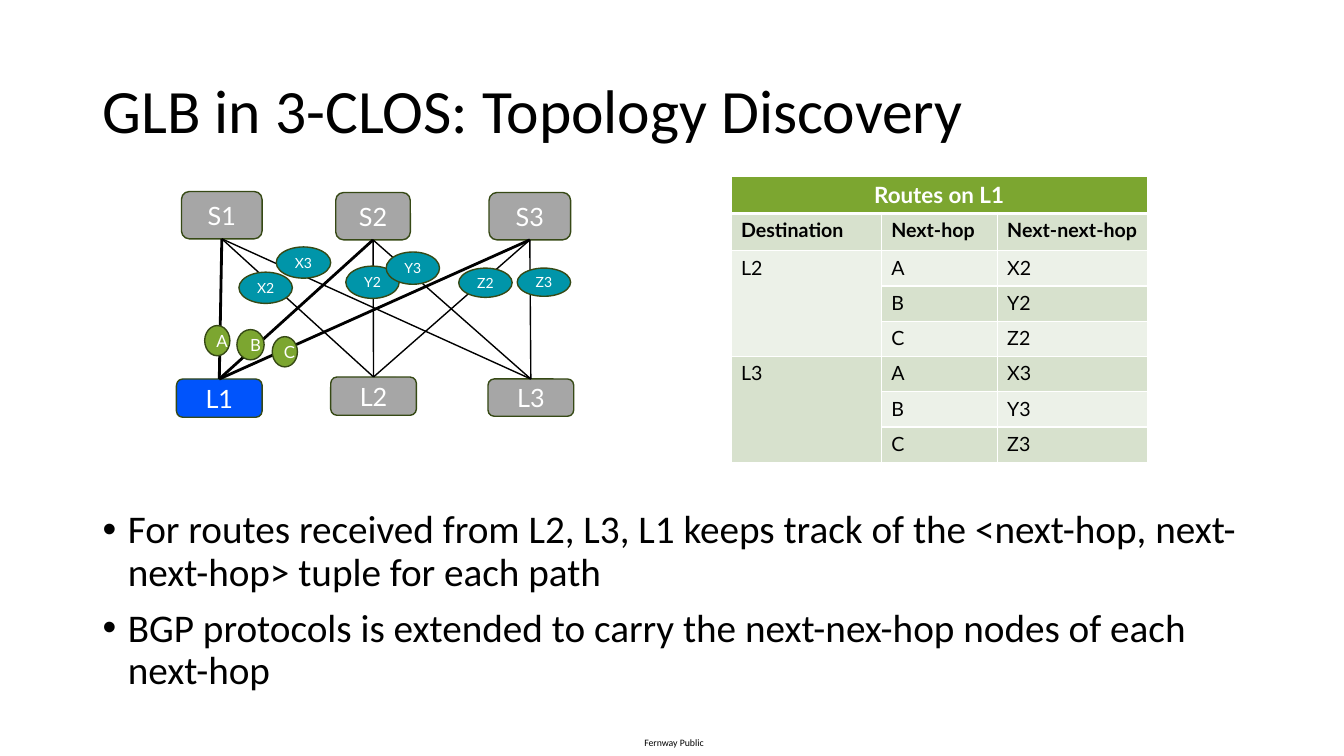
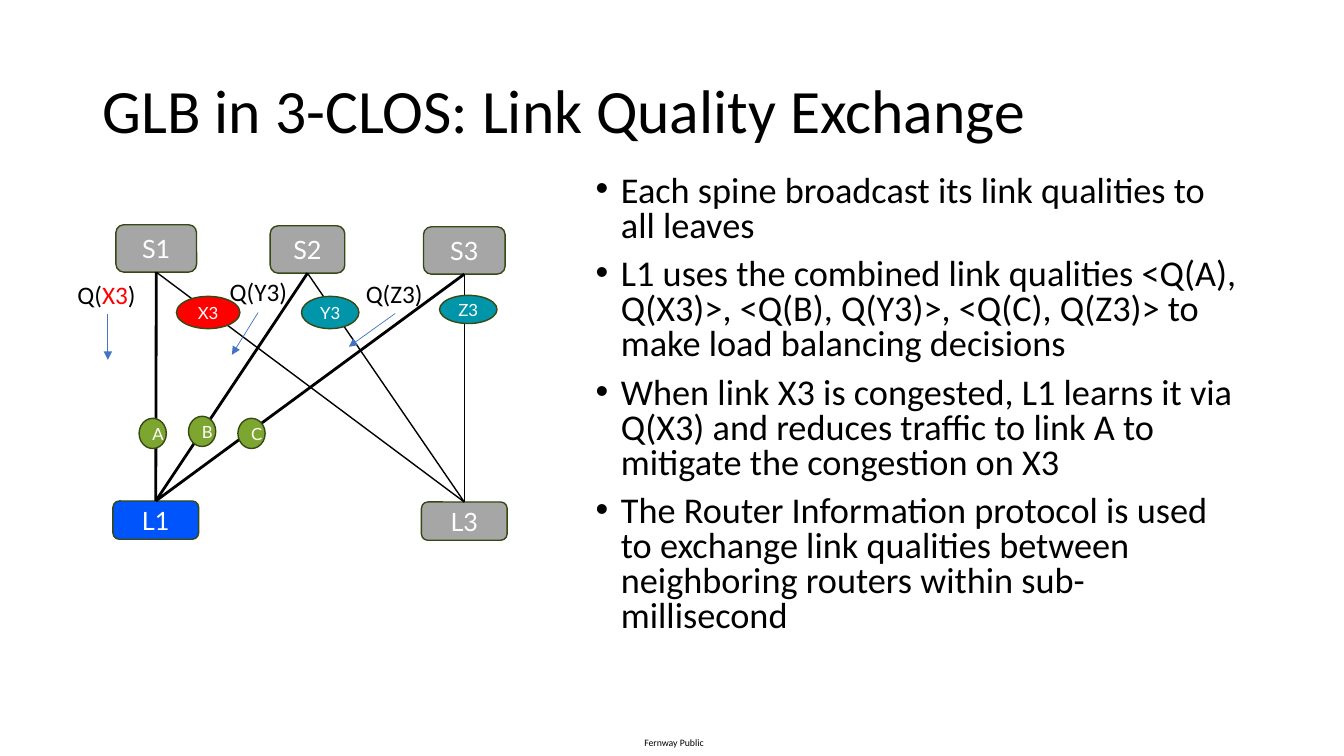
import itertools

import pptx
import pptx.dml.color
import pptx.enum.shapes
import pptx.enum.text
import pptx.oxml
import pptx.oxml.ns
import pptx.util

PX = 9144  # 100 px to the inch
RGB = pptx.dml.color.RGBColor
SHAPES = pptx.enum.shapes.MSO_SHAPE
STRAIGHT = pptx.enum.shapes.MSO_CONNECTOR.STRAIGHT
MIDDLE = pptx.enum.text.MSO_ANCHOR.MIDDLE
CENTER = pptx.enum.text.PP_ALIGN.CENTER
TOP, BOTTOM = 0, 2

BLACK = RGB(0x00, 0x00, 0x00)
WHITE = RGB(0xFF, 0xFF, 0xFF)
RED = RGB(0xFF, 0x00, 0x00)
GRAY = RGB(0xA6, 0xA6, 0xA6)
BLUE = RGB(0x00, 0x54, 0xFC)
GREEN = RGB(0x7C, 0xA6, 0x30)
TEAL = RGB(0x00, 0x95, 0xA9)
OUTLINE = RGB(0x36, 0x49, 0x15)
ARROW = RGB(0x44, 0x72, 0xC4)
BAND_DARK = RGB(0xD7, 0xE1, 0xCD)
BAND_LIGHT = RGB(0xEC, 0xF1, 0xE8)

TEXT_FONT, DIAGRAM_FONT = "Calibri", "Lato"
FOOTER = "Fernway Public"

DISCOVERY = {
    "title": "GLB in 3-CLOS: Topology Discovery",
    "body": {
        "box": (92, 501, 1150, 185), "size": 28, "spacing": 0.9,
        "bullets": [
            "For routes received from L2, L3, L1 keeps track of the "
            "<next-hop, next-next-hop> tuple for each path",
            "BGP protocols is extended to carry the next-nex-hop nodes of each next-hop",
        ],
    },
    "spines": {"S1": (180, 190, 80, 47), "S2": (333, 191, 74, 47), "S3": (485, 191, 81, 47)},
    "leaves": {"L1": (175, 376, 85, 38), "L2": (328, 374, 85, 38), "L3": (484, 376, 85, 37)},
    "link_size": 10,
    "uplinks": {"A": (203, 323, 25, 30), "B": (235, 327, 27, 30), "C": (270, 334, 25, 30)},
    "downlinks": {
        "X2": (237, 270, 53, 31), "Y2": (343, 264, 53, 32), "Z2": (455, 266, 53, 29),
        "X3": (274, 245, 54, 31), "Y3": (383, 250, 53, 32), "Z3": (513, 266, 53, 28),
    },
}

ROUTES = {
    "caption": "Routes on L1",
    "columns": ["Destination", "Next-hop", "Next-next-hop"],
    "paths": {
        "L2": [("A", "X2"), ("B", "Y2"), ("C", "Z2")],
        "L3": [("A", "X3"), ("B", "Y3"), ("C", "Z3")],
    },
    "at": (725, 175),
    "widths": [149, 115, 149],
    "heights": [35, 37] + [35] * 6,
}

EXCHANGE = {
    "title": "GLB in 3-CLOS: Link Quality Exchange",
    "body": {
        "box": (581, 169, 661, 502), "size": 25.9, "spacing": 0.8,
        "bullets": [
            "Each spine broadcast its link qualities to all leaves",
            "L1 uses the combined link qualities <Q(A), Q(X3)>, <Q(B), Q(Y3)>, "
            "<Q(C), Q(Z3)> to make load balancing decisions",
            "When link X3 is congested, L1 learns it via Q(X3) and reduces traffic "
            "to link A to mitigate the congestion on X3",
            "The Router Information protocol is used to exchange link qualities "
            "between neighboring routers within sub-millisecond",
        ],
    },
    "spines": {"S1": (115, 223, 80, 47), "S2": (268, 224, 74, 47), "S3": (420, 225, 81, 47)},
    "leaves": {"L1": (112, 497, 85, 38), "L3": (418, 498, 85, 38)},
    "link_size": 12,
    "uplinks": {"A": (138, 415, 27, 30), "B": (187, 413, 27, 30), "C": (236, 415, 27, 30)},
    "downlinks": {"Y3": (299, 294, 57, 32), "Z3": (436, 293, 57, 28), "X3": (175, 294, 63, 32)},
    "congested": "X3",
}

# link, label box, arrow from, arrow to
QUALITIES = [
    ("X3", (67, 272, 79, 40), (107, 312), (107, 357)),
    ("Y3", (218, 269, 78, 40), (256, 310), (230, 352)),
    ("Z3", (353, 271, 77, 40), (392, 311), (346, 344)),
]


def px(lengths):
    return [length * PX for length in lengths]


def add_run(paragraph, text, size, color, font=TEXT_FONT, bold=False):
    run = paragraph.add_run()
    run.text = text
    run.font.size = pptx.util.Pt(size)
    run.font.name = font
    run.font.bold = bold
    run.font.color.rgb = color


def add_text_frame(slide, box, wrap=True):
    frame = slide.shapes.add_textbox(*px(box)).text_frame
    frame.word_wrap = wrap
    return frame


def add_node(slide, geometry, box, fill, label, size):
    node = slide.shapes.add_shape(geometry, *px(box))
    node.shadow.inherit = False
    node.fill.solid()
    node.fill.fore_color.rgb = fill
    node.line.color.rgb = OUTLINE
    node.line.width = pptx.util.Pt(1)
    paragraph = node.text_frame.paragraphs[0]
    paragraph.alignment = CENTER
    add_run(paragraph, label, size, WHITE, DIAGRAM_FONT)
    return node


def add_line(slide, color, width, start=(0, 0), end=(0, 0)):
    line = slide.shapes.add_connector(STRAIGHT, *px(start + end))
    line.line.color.rgb = color
    line.line.width = pptx.util.Pt(width)
    line._element.spPr.append(xml_element("effectLst"))
    return line


def xml_element(tag, attributes="", inner=""):
    return pptx.oxml.parse_xml(
        f'<a:{tag} {pptx.oxml.ns.nsdecls("a")} {attributes}>{inner}</a:{tag}>')


def add_bullets(slide, body):
    frame = add_text_frame(slide, body["box"])
    for index, text in enumerate(body["bullets"]):
        paragraph = frame.add_paragraph() if index else frame.paragraphs[0]
        paragraph.line_spacing = body["spacing"]
        paragraph.space_before = pptx.util.Pt(10)
        properties = paragraph._p.get_or_add_pPr()
        properties.set("marL", str(25 * PX))
        properties.set("indent", str(-25 * PX))
        properties.append(xml_element("buFont", 'typeface="Arial"'))
        properties.append(xml_element("buChar", 'char="•"'))
        add_run(paragraph, text, body["size"], BLACK)


def add_fabric(slide, content):
    """Draw the routers and a link from every leaf to every spine."""
    spines = [add_node(slide, SHAPES.ROUNDED_RECTANGLE, box, GRAY, name, 18)
              for name, box in content["spines"].items()]
    leaves = {name: add_node(slide, SHAPES.ROUNDED_RECTANGLE, box,
                             BLUE if name == "L1" else GRAY, name, 18)
              for name, box in content["leaves"].items()}
    for (name, leaf), spine in itertools.product(leaves.items(), spines):
        link = add_line(slide, BLACK, 2 if name == "L1" else 1)
        link.begin_connect(leaf, TOP)
        link.end_connect(spine, BOTTOM)


def add_link_names(slide, content):
    for name, box in content["uplinks"].items():
        add_node(slide, SHAPES.OVAL, box, GREEN, name, 12)
    for name, box in content["downlinks"].items():
        fill = RED if name == content.get("congested") else TEAL
        add_node(slide, SHAPES.OVAL, box, fill, name, content["link_size"])


def add_qualities(slide, congested):
    for link, box, start, end in QUALITIES:
        paragraph = add_text_frame(slide, box, wrap=False).paragraphs[0]
        add_run(paragraph, "Q(", 18, BLACK)
        add_run(paragraph, link, 18, RED if link == congested else BLACK)
        add_run(paragraph, ")", 18, BLACK)
        arrow = add_line(slide, ARROW, 0.5, start, end)
        arrow.line._get_or_add_ln().append(xml_element("tailEnd", 'type="triangle"'))


def style_cell(cell, fill, borders):
    """Set the fill and the widths of the white left, right, top and bottom borders."""
    properties = cell._tc.get_or_add_tcPr()
    for side, width in zip("LRTB", borders):
        properties.append(xml_element(
            f"ln{side}", f'w="{pptx.util.Pt(width)}"',
            f'<a:solidFill><a:srgbClr val="{WHITE}"/></a:solidFill>'))
    cell.fill.solid()
    cell.fill.fore_color.rgb = fill


def add_routes(slide):
    rows = [[ROUTES["caption"], "", ""], ROUTES["columns"]]
    spans = [(0, 0, 0, 2)]
    for destination, paths in ROUTES["paths"].items():
        spans.append((len(rows), 0, len(rows) + len(paths) - 1, 0))
        rows += [[destination if index == 0 else "", *path] for index, path in enumerate(paths)]

    size = (sum(ROUTES["widths"]), sum(ROUTES["heights"]))
    table = slide.shapes.add_table(len(rows), 3, *px(ROUTES["at"] + size)).table
    table.first_row = table.horz_banding = False
    for column, width in zip(table.columns, ROUTES["widths"]):
        column.width = width * PX
    for row, height in zip(table.rows, ROUTES["heights"]):
        row.height = height * PX

    for row, texts in enumerate(rows):
        caption = row == 0
        fill = GREEN if caption else BAND_DARK if row % 2 else BAND_LIGHT
        borders = (1, 1, 3 if row == 1 else 1, 3 if caption else 1)
        for column, text in enumerate(texts):
            cell = table.cell(row, column)
            style_cell(cell, fill, borders)
            if text:
                paragraph = cell.text_frame.paragraphs[0]
                if caption:
                    paragraph.alignment = CENTER
                add_run(paragraph, text, 16 if caption else 14,
                        WHITE if caption else BLACK, DIAGRAM_FONT, bold=row < 2)
    for top, left, bottom, right in spans:
        table.cell(top, left).merge(table.cell(bottom, right))


def add_slide(deck, content):
    """Add a slide with the footer, title and bullets that all slides share."""
    slide = deck.slides.add_slide(deck.slide_layouts[6])
    footer = add_text_frame(slide, (639, 731, 90, 12))
    footer.margin_left = footer.margin_right = footer.margin_top = footer.margin_bottom = 0
    add_run(footer.paragraphs[0], FOOTER, 7, BLACK)
    title = add_text_frame(slide, (92, 40, 1150, 145))
    title.vertical_anchor = MIDDLE
    title.paragraphs[0].line_spacing = 0.9
    add_run(title.paragraphs[0], content["title"], 44, BLACK)
    add_bullets(slide, content["body"])
    return slide


def main():
    deck = pptx.Presentation()
    deck.slide_width, deck.slide_height = px((1333, 750))

    discovery = add_slide(deck, DISCOVERY)
    add_fabric(discovery, DISCOVERY)
    add_link_names(discovery, DISCOVERY)
    add_routes(discovery)

    exchange = add_slide(deck, EXCHANGE)
    add_fabric(exchange, EXCHANGE)
    add_qualities(exchange, EXCHANGE["congested"])
    add_link_names(exchange, EXCHANGE)

    deck.save("out.pptx")


if __name__ == "__main__":
    main()
